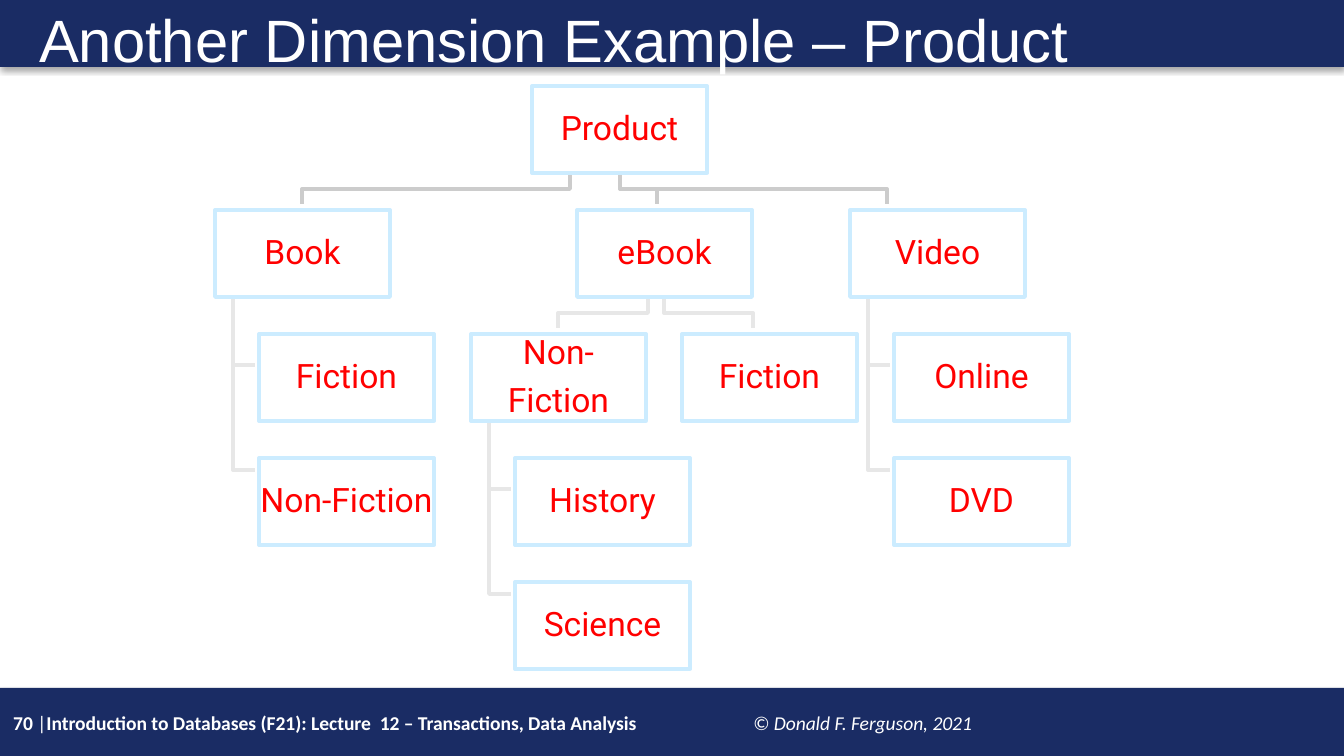
from lxml.etree import SubElement
from pptx import Presentation
from pptx.dml.color import RGBColor
from pptx.enum.shapes import MSO_SHAPE
from pptx.enum.text import MSO_ANCHOR, PP_ALIGN
from pptx.oxml.ns import qn
from pptx.util import Emu, Pt

WIDTH, HEIGHT = 1344, 756
NAVY, WHITE, RED = "1A2C64", "FFFFFF", "FF0000"
BOX_BORDER, BRANCH, TWIG = "CCECFF", "CCCCCC", "E7E7E7"

# Category tree: every box has one size, every level one row
BOX_W, BOX_H, ROW_STEP = 175, 87, 124
INDENT = 44


def px(length):
    return Emu(round(length * 914400 / 134.4))


def color(hex_string):
    return RGBColor.from_string(hex_string)


def style(run, font_name, size, hex_string, bold=False, italic=False):
    font = run.font
    font.name, font.size = font_name, Pt(size)
    font.bold, font.italic = bold, italic
    font.color.rgb = color(hex_string)


def add_bar(slide, top, height):
    """Full-width navy band with a soft shadow below it."""
    bar = slide.shapes.add_shape(MSO_SHAPE.RECTANGLE, 0, px(top), px(WIDTH), px(height))
    bar.fill.solid()
    bar.fill.fore_color.rgb = color(NAVY)
    bar.line.fill.background()
    bar.shadow.inherit = False
    effects = bar.element.spPr.find(qn("a:effectLst"))
    shadow = SubElement(effects, qn("a:outerShdw"), blurRad=str(Pt(3.1)),
                        dist=str(Pt(1.8)), dir="5400000", algn="t", rotWithShape="0")
    black = SubElement(shadow, qn("a:srgbClr"), val="000000")
    SubElement(black, qn("a:alpha"), val="35000")


def add_header(slide, top, height):
    add_bar(slide, top, height)
    title = slide.shapes.add_textbox(px(26), px(top), px(1274), px(height - 3))
    frame = title.text_frame
    frame.word_wrap = True
    frame.margin_top = px(11)
    frame.text = "Another Dimension Example – Product"
    frame.paragraphs[0].line_spacing = 0.9
    style(frame.paragraphs[0].runs[0], "Arial", 32, WHITE)


def add_footer(slide, top, height):
    add_bar(slide, top, height)
    footer = slide.shapes.add_textbox(0, px(top + 16), px(1052), px(38))
    frame = footer.text_frame
    frame.word_wrap = True
    paragraph = frame.paragraphs[0]
    # The copyright line starts at a tab stop
    tabs = SubElement(paragraph._p.get_or_add_pPr(), qn("a:tabLst"))
    SubElement(tabs, qn("a:tab"), pos=str(px(740)), algn="l")
    lecture = "Introduction to Databases (F21): Lecture  12 – Transactions, Data Analysis\t"
    for text, bold, italic in (
        ("70 ", True, False),
        ("|", False, False),
        (lecture, True, False),
        ("© Donald F. Ferguson, 2021", False, True),
    ):
        run = paragraph.add_run()
        run.text = text
        style(run, "Calibri", 10.5, WHITE, bold, italic)


def add_elbow(slide, points, hex_string):
    """Open right-angled line through the given points."""
    builder = slide.shapes.build_freeform(*points[0], scale=px(100) / 100)
    builder.add_line_segments(points[1:], close=False)
    elbow = builder.convert_to_shape()
    elbow.fill.background()
    elbow.line.color.rgb = color(hex_string)
    elbow.line.width = Pt(2)
    elbow.shadow.inherit = False


def add_drop(slide, start_x, end_x, parent_top, hex_string):
    """Branch from the bottom of a parent to the row below."""
    bottom = parent_top + BOX_H
    bend, end = bottom + 16, parent_top + ROW_STEP - 6
    add_elbow(slide, [(start_x, bottom), (start_x, bend), (end_x, bend), (end_x, end)],
              hex_string)


def add_category(slide, left, top, label):
    box = slide.shapes.add_shape(MSO_SHAPE.RECTANGLE, px(left), px(top), px(BOX_W), px(BOX_H))
    box.fill.solid()
    box.fill.fore_color.rgb = color(WHITE)
    box.line.color.rgb = color(BOX_BORDER)
    box.line.width = Pt(2)
    box.shadow.inherit = False
    frame = box.text_frame
    frame.word_wrap = True
    frame.vertical_anchor = MSO_ANCHOR.MIDDLE
    frame.margin_left = frame.margin_right = px(1)
    frame.margin_top = frame.margin_bottom = px(1)
    frame.text = label
    for paragraph in frame.paragraphs:
        paragraph.alignment = PP_ALIGN.CENTER
        paragraph.line_spacing = 0.9
        paragraph.space_after = Pt(6)
        style(paragraph.runs[0], "Roboto", 18, RED)


def add_hanging_list(slide, left, top, parent, children):
    """Parent box with its children indented below, joined by a side rail."""
    rail = left + 18
    child_tops = [top + ROW_STEP * (row + 1) for row in range(len(children))]
    for child_top, join in zip(child_tops, (31, 12)):
        y = child_top + join
        add_elbow(slide, [(rail, top + BOX_H), (rail, y), (left + INDENT - 4, y)], TWIG)
    add_category(slide, left, top, parent)
    for child_top, child in zip(child_tops, children):
        add_category(slide, left + INDENT, child_top, child)


def add_product_tree(slide, left, top):
    kinds_top, genres_top = top + ROW_STEP, top + 2 * ROW_STEP

    # Branches from Product to its kinds, then from eBook to its genres
    for start, end in ((405, 672), (405, 442), (355, 87)):
        add_drop(slide, left + start, left + end, top, BRANCH)
    for start, end in ((449, 538), (433, 343)):
        add_drop(slide, left + start, left + end, kinds_top, TWIG)

    # Single boxes
    add_category(slide, left + 317, top, "Product")
    add_category(slide, left + 362, kinds_top, "eBook")
    add_category(slide, left + 467, genres_top, "Fiction")

    # Boxes with a list hanging below them
    add_hanging_list(slide, left, kinds_top, "Book", ["Fiction", "Non-Fiction"])
    add_hanging_list(slide, left + 256, genres_top, "Non-\nFiction", ["History", "Science"])
    add_hanging_list(slide, left + 635, kinds_top, "Video", ["Online", "DVD"])


def main():
    presentation = Presentation()
    presentation.slide_width, presentation.slide_height = px(WIDTH), px(HEIGHT)
    slide = presentation.slides.add_slide(presentation.slide_layouts[6])
    add_footer(slide, 688, 68)
    add_header(slide, 0, 67)
    add_product_tree(slide, 215, 86)
    presentation.save("out.pptx")


if __name__ == "__main__":
    main()
